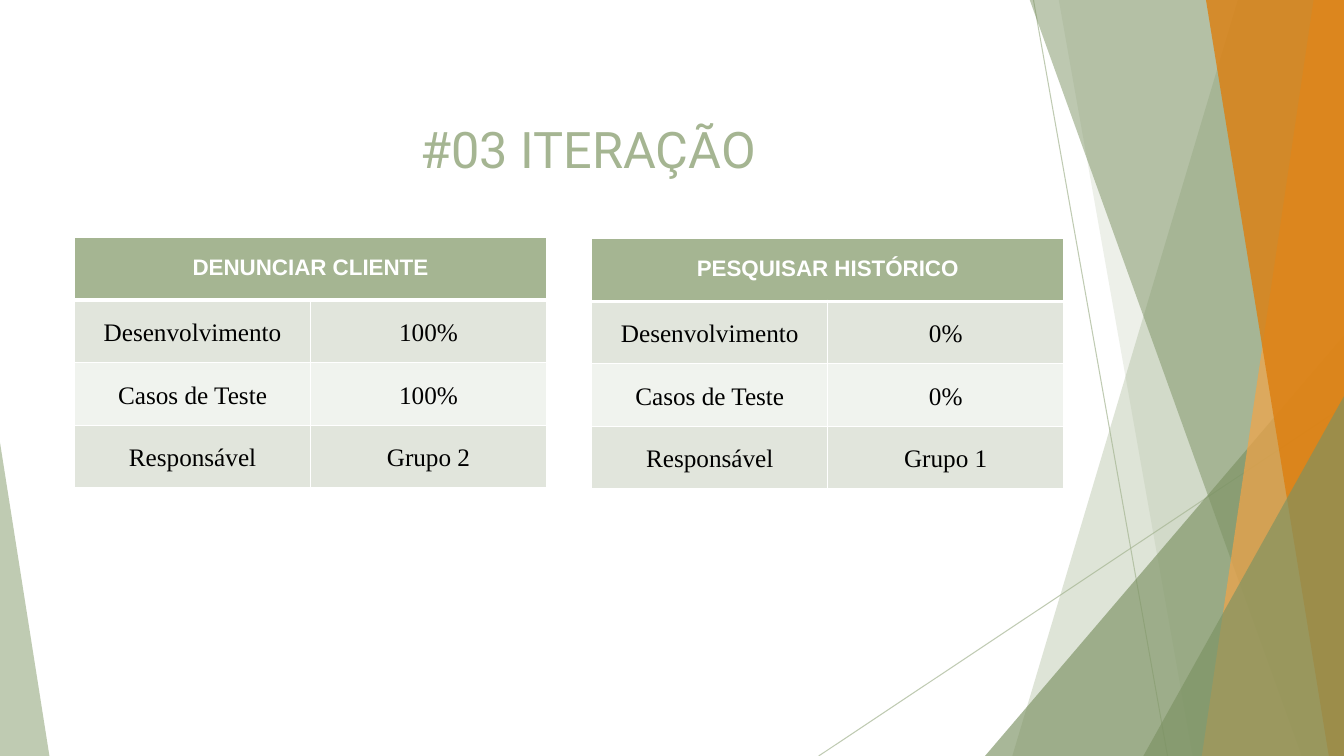
from lxml import etree
from pptx import Presentation
from pptx import util as u
from pptx.dml import color
from pptx.enum import shapes, text
from pptx.oxml import ns

THEME = {
    "sage": "A5B592", "moss": "7C9263", "amber": "F3A447", "rust": "DD7E0E",
    "band": "E1E5DC", "pale": "F0F3EE", "white": "FFFFFF", "black": "000000",
    "title": {"name": "Roboto", "size": u.Pt(36), "bold": False},
    "head": {"name": "Arial", "size": u.Pt(16), "bold": True},
    "body": {"name": "Times New Roman", "size": u.Pt(18), "bold": False},
}
WIDE, HIGH, TOP = 13.33, 7.5, -0.01

# Top x, bottom x, colour and opacity of each band reaching the right edge
BANDS = {
    "haze": (12.28, 10.04, "sage", 36),
    "veil": (10.5, 11.83, "sage", 20),
    "leaf": (10.21, 12.91, "moss", 50),
    "gold": (13.03, 11.92, "amber", 70),
    "flame": (11.96, 13.18, "rust", 80),
}


def rgb(key):
    return color.RGBColor.from_string(THEME[key])


def fade(part, pct):
    tone = part.find(".//" + ns.qn("a:srgbClr"))
    etree.SubElement(tone, ns.qn("a:alpha"), val=str(pct * 1000))


def paint(shape, key, pct):
    shape.shadow.inherit = False
    shape.fill.solid()
    shape.fill.fore_color.rgb = rgb(key)
    shape.line.fill.background()
    fade(shape._element.spPr, pct)


def draw_line(slide, *ends):
    line = slide.shapes.add_connector(
        shapes.MSO_CONNECTOR.STRAIGHT, *[u.Inches(n) for n in ends])
    line.line.color.rgb = rgb("sage")
    line.line.width = u.Pt(0.75)
    props = line._element.spPr
    fade(props, 70)
    etree.SubElement(props, ns.qn("a:effectLst"))


def draw_band(slide, top, base, key, pct):
    path = [(u.Inches(x), u.Inches(y)) for x, y in
            ((top, TOP), (WIDE, TOP), (WIDE, HIGH), (base, HIGH))]
    form = slide.shapes.build_freeform(*path[0], scale=1.0)
    form.add_line_segments(path[1:], close=True)
    paint(form.convert_to_shape(), key, pct)


def draw_peak(slide, left, top, width, apex, key, pct):
    peak = slide.shapes.add_shape(
        shapes.MSO_SHAPE.ISOSCELES_TRIANGLE,
        *[u.Inches(n) for n in (left, top, width, HIGH - top)])
    peak.adjustments[0] = apex
    paint(peak, key, pct)


def write(frame, words, style, key, space=1.0):
    para = frame.paragraphs[0]
    para.alignment = text.PP_ALIGN.CENTER
    para.line_spacing = space
    run = para.add_run()
    run.text = words
    for name, value in THEME[style].items():
        setattr(run.font, name, value)
    run.font.color.rgb = rgb(key)


def add_title(slide, words):
    box = slide.shapes.add_textbox(
        *[u.Inches(n) for n in (-0.57, 1.12, 12.81, 0.71)])
    form = {"word_wrap": True, "vertical_anchor": text.MSO_ANCHOR.MIDDLE}
    for name, value in form.items():
        setattr(box.text_frame, name, value)
    write(box.text_frame, words, "title", "sage")


def edge(cell, base):
    props = cell._tc.get_or_add_tcPr()
    for side, size in (("L", 1), ("R", 1), ("T", 1), ("B", base)):
        line = etree.SubElement(
            props, ns.qn("a:ln" + side), w=str(u.Pt(size)))
        fill = etree.SubElement(line, ns.qn("a:solidFill"))
        etree.SubElement(fill, ns.qn("a:srgbClr"), val=THEME["white"])


def add_grid(slide, left, top, head, rows):
    col, row = 2.34, 0.62
    data = [(head, "")] + rows
    grid = slide.shapes.add_table(
        len(data), 2, u.Inches(left), u.Inches(top),
        u.Inches(2 * col), u.Inches(row * len(data))).table
    for item in grid.columns:
        item.width = u.Inches(col)
    for item in grid.rows:
        item.height = u.Inches(row)
    grid.cell(0, 0).merge(grid.cell(0, 1))
    for r, line in enumerate(data):
        shade = "sage" if r == 0 else "band" if r % 2 else "pale"
        style, ink = ("body", "black") if r else ("head", "white")
        for c, words in enumerate(line):
            cell = grid.cell(r, c)
            edge(cell, 1 if r else 3)
            cell.fill.solid()
            cell.fill.fore_color.rgb = rgb(shade)
            if words:
                write(cell.text_frame, words, style, ink, 1.5)


def main():
    deck = Presentation()
    deck.slide_width, deck.slide_height = u.Inches(WIDE), u.Inches(HIGH)
    slide = deck.slides.add_slide(deck.slide_layouts[6])

    # Backdrop, from back to front
    draw_line(slide, 10.25, 0, 11.58, HIGH)
    draw_line(slide, WIDE, 4.03, 8.12, HIGH)
    for name in ("haze", "veil"):
        draw_band(slide, *BANDS[name])
    draw_peak(slide, 9.77, 3.33, 3.56, 1, "moss", 66)
    for name in ("leaf", "gold", "flame"):
        draw_band(slide, *BANDS[name])
    draw_peak(slide, 11.34, 3.93, 1.99, 1, "moss", 66)
    draw_peak(slide, 0, 4.39, 0.49, 0, "sage", 70)

    # Title and progress tables
    add_title(slide, "#03 ITERAÇÃO")
    tasks = ("Desenvolvimento", "Casos de Teste", "Responsável")
    for left, top, head, marks in (
            (0.74, 2.36, "DENUNCIAR CLIENTE", ("100%", "100%", "Grupo 2")),
            (5.87, 2.37, "PESQUISAR HISTÓRICO", ("0%", "0%", "Grupo 1"))):
        add_grid(slide, left, top, head, list(zip(tasks, marks)))

    deck.save("out.pptx")


if __name__ == "__main__":
    main()
